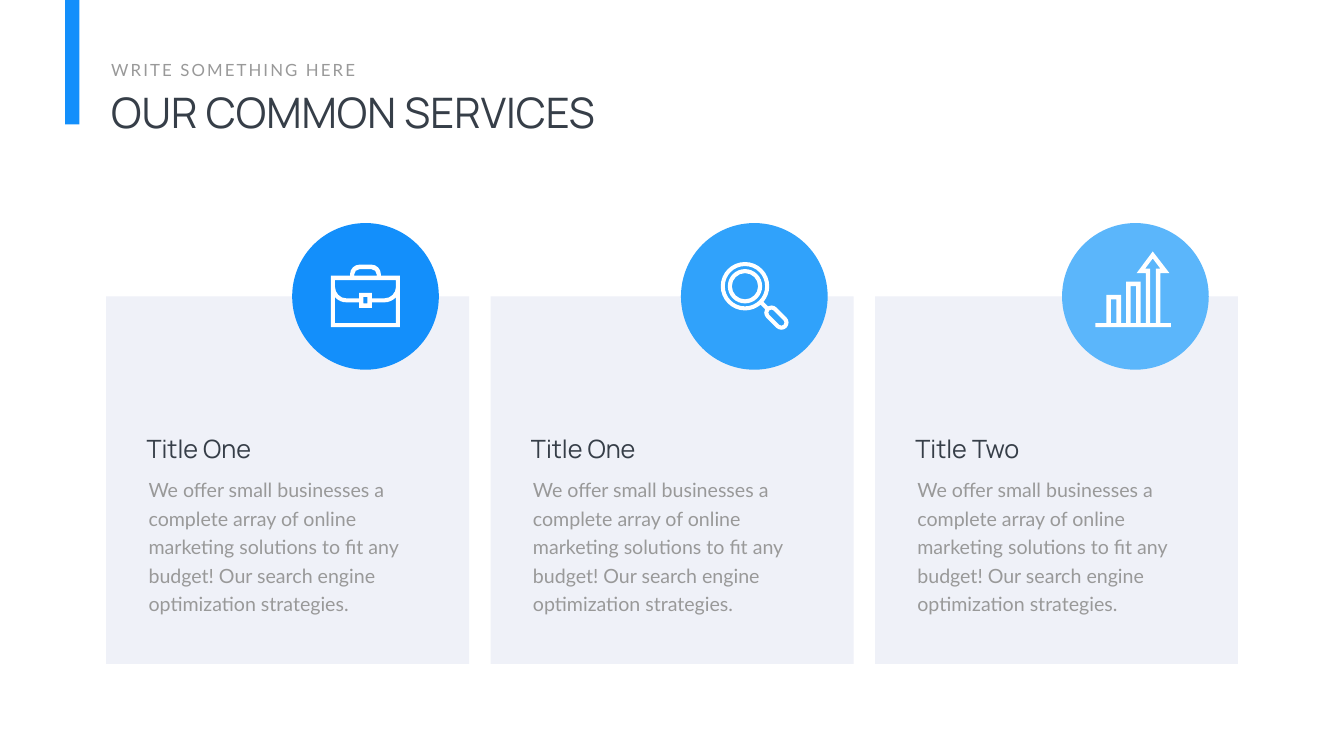
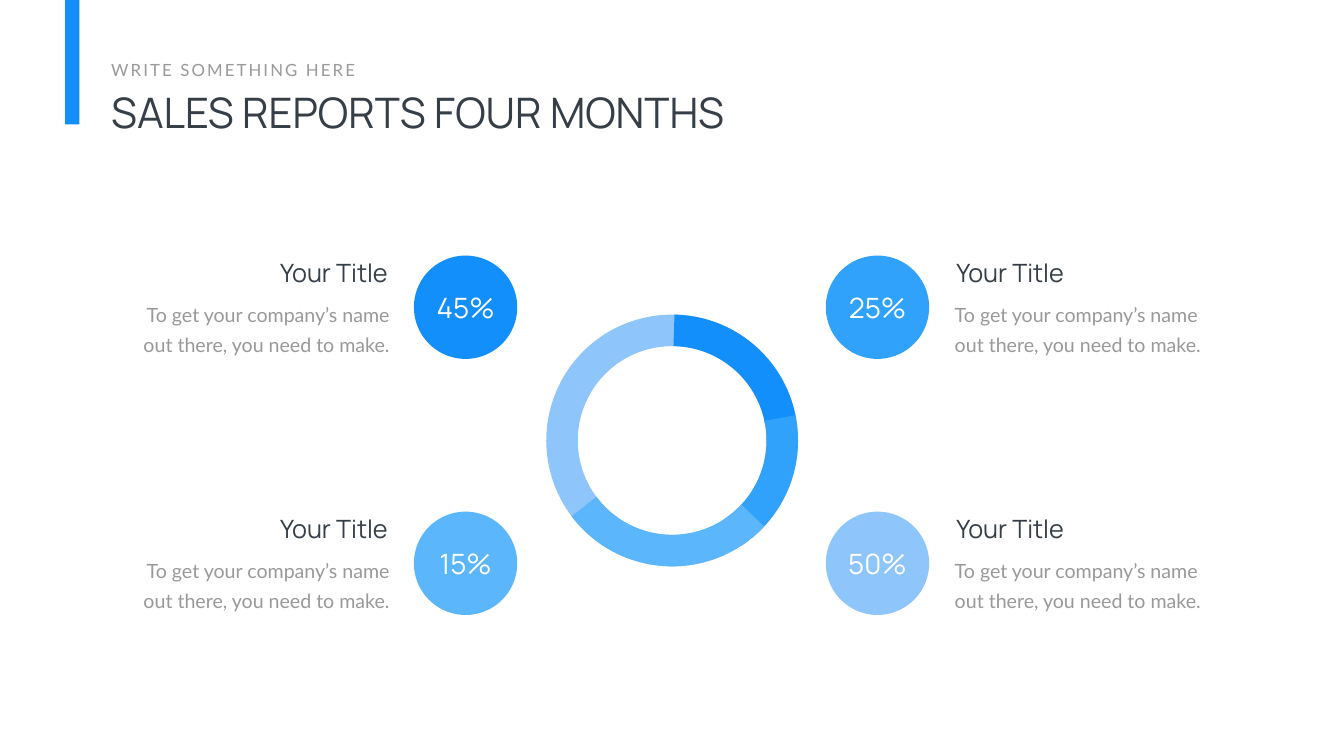
from math import cos, floor, radians, sin, tan
from typing import NamedTuple

from pptx import Presentation
from pptx.dml.color import RGBColor
from pptx.enum.shapes import MSO_SHAPE
from pptx.enum.text import MSO_AUTO_SIZE, PP_ALIGN
from pptx.oxml.ns import qn
from pptx.util import Pt

BLUES = ["138FFB", "30A2FB", "5BB6FB", "8EC5FA"]
WHITE, DARK, GREY, PANEL = "FFFFFF", "363E48", "999999", "EFF1F8"
HEADING_FONT, BODY_FONT = "Manrope", "Lato"


class Point(NamedTuple):
    """Place an outline point, which may be a control point of a curve."""

    x: float
    y: float
    control: bool = False


def color(value):
    """Turn a hex string into a colour."""
    return RGBColor.from_string(value)


def corners(*pairs):
    """List corner points from coordinate pairs."""
    return [Point(x, y) for x, y in pairs]


def box(left, top, right, bottom):
    """List the corners of a rectangle."""
    return corners((left, top), (right, top), (right, bottom), (left, bottom))


def arc(center_x, center_y, radius, start, end):
    """List the curve points of an arc, split at quarter turns, in degrees."""
    def place(angle, offset=0.0):
        """Place a point on the circle, or off it along the tangent."""
        across, down = cos(radians(angle)), sin(radians(angle))
        return Point(center_x + radius * (across - offset * down),
                     center_y + radius * (down + offset * across), offset != 0)

    points = [place(start)]
    while start < end:
        stop = min(end, 90 * (floor(start / 90) + 1))
        pull = 4 / 3 * tan(radians(stop - start) / 4)
        points += [place(start, pull), place(stop, -pull), place(stop)]
        start = stop
    return points


def mirror(right_half):
    """Close a right half, listed top to bottom, with its reflection."""
    return right_half + [Point(-x, y, control) for x, y, control in reversed(right_half)]


def briefcase_icon():
    """Outline a briefcase around the origin."""
    outer = arc(8.3, -32, 13.7, -90, 0) + corners((22, -30), (49.3, -30), (49.3, 43.6))
    handle = arc(8.3, -31.3, 7.9, -90, 0) + corners((16.2, -30))
    flap = corners((43.6, -23.4)) + arc(27, -14, 16.6, 0, 90) + corners((9, 2.5), (9, -5.4))
    clasp = corners((2.9, 0.4), (2.9, 9.7))
    body = (corners((9, 16.2), (9, 8.3)) + arc(27, -14, 22.3, 42, 90)[::-1]
            + corners((43.6, 37.8)))
    return [[mirror(half) for half in (flap, clasp, body, handle, outer)]]


def magnifier_icon():
    """Outline the inner lens ring, then the rim with its handle."""
    lens, near, far = (-13.3, -14.8), (24.5, 23), (38.6, 37.1)
    grip, slot = 10.3, 4.5
    inner_ring = [arc(*lens, radius, 0, 360) for radius in (18.7, 24.5)]
    outer = (arc(*lens, 34.6, 50, 400) + arc(*near, grip, 241, 315)
             + arc(*far, grip, -45, 135) + arc(*near, grip, 135, 209))
    opening = arc(*near, slot, 135, 315) + arc(*far, slot, -45, 135)
    return [inner_ring, [opening, arc(*lens, 28.8, 0, 360), outer]]


def growth_icon():
    """Outline two bars and a rising arrow on a base line."""
    base = 37.8
    outer = corners(
        (-57.2, base), (-41.4, base), (-41.4, -2.5), (-20.5, -2.5), (-20.5, base),
        (-13.3, base), (-13.3, -21.2), (7.6, -21.2), (7.6, base), (14.8, base),
        (14.8, -33.5), (1.8, -33.5), (24.8, -64.4), (48.6, -33.5), (35.6, -33.5),
        (35.6, base), (50.8, base), (50.8, 43.6), (-57.2, 43.6))
    arrow = corners((14, -40), (24.8, -54.4), (35.6, -40), (29.2, -40), (29.2, base),
                    (21.2, base), (21.2, -40))
    return [[box(-35, 4, -27, base), box(-6.8, -14.8, 1.1, base), arrow, outer]]


class Deck:
    """Hold the presentation, its style and the current slide."""

    def __init__(self):
        """Start an empty presentation."""
        self.presentation = Presentation()
        self.presentation.slide_width = Pt(1919.52)
        self.presentation.slide_height = Pt(1080)
        self.slide = None

    def add_slide(self, title, title_width):
        """Add a slide with the shared heading and accent bar."""
        self.slide = self.presentation.slides.add_slide(self.presentation.slide_layouts[6])
        self.text(151.7, 120.2, title_width, 80, title, 60)
        self.text(151.7, 81.4, 370, 36, "WRITE SOMETHING HERE", 24, GREY, BODY_FONT, tracking=3)
        self.shape(MSO_SHAPE.RECTANGLE, 93, 0, 20.2, 177.8, BLUES[0])

    def text(self, left, top, width, height, words, size, fill=DARK, font=HEADING_FONT,
             align=PP_ALIGN.LEFT, line_spacing=None, margins=(7.2, 3.6), tracking=None):
        """Add a one-paragraph text box."""
        text_box = self.slide.shapes.add_textbox(Pt(left), Pt(top), Pt(width), Pt(height))
        frame = text_box.text_frame
        frame.word_wrap = True
        frame.auto_size = MSO_AUTO_SIZE.SHAPE_TO_FIT_TEXT
        frame.margin_left = frame.margin_right = Pt(margins[0])
        frame.margin_top = frame.margin_bottom = Pt(margins[1])
        paragraph = frame.paragraphs[0]
        run = paragraph.add_run()
        run.text = words
        paragraph.alignment = align
        if line_spacing:
            paragraph.line_spacing = Pt(line_spacing)
        paragraph.font.name = font
        paragraph.font.size = Pt(size)
        paragraph.font.color.rgb = color(fill)
        if tracking:
            run._r.get_or_add_rPr().set("spc", str(tracking * 100))

    def body(self, left, top, width, height, words, line_spacing, align=PP_ALIGN.LEFT):
        """Add a grey body text with wide margins."""
        self.text(left, top, width, height, words, 28, GREY, BODY_FONT, align,
                  line_spacing, (17.28, 8.64))

    def shape(self, kind, left, top, width, height, fill):
        """Add a filled preset shape without a line."""
        shape = self.slide.shapes.add_shape(kind, Pt(left), Pt(top), Pt(width), Pt(height))
        self.paint(shape, fill)

    def paint(self, shape, fill):
        """Give a shape a plain fill, no line and no shadow."""
        shape.shadow.inherit = False
        shape.fill.solid()
        shape.fill.fore_color.rgb = color(fill)
        shape.line.fill.background()

    def ring(self, center_x, center_y, diameter, stroke, angles=None):
        """Add a thick circle, or an arc when start and end angles are given."""
        kind = MSO_SHAPE.ARC if angles else MSO_SHAPE.OVAL
        shape = self.slide.shapes.add_shape(
            kind, Pt(center_x - diameter / 2), Pt(center_y - diameter / 2),
            Pt(diameter), Pt(diameter))
        for index, angle in enumerate(angles or ()):
            shape.adjustments[index] = angle * 0.6
        shape.shadow.inherit = False
        shape.fill.background()
        shape.line.color.rgb = color(stroke)
        shape.line.width = Pt(45)

    def outline(self, center_x, center_y, contours):
        """Add a white freeform whose inner contours are holes."""
        builder = None
        for contour in contours:
            points = [(round(point.x * 100), round(point.y * 100)) for point in contour]
            if builder is None:
                builder = self.slide.shapes.build_freeform(*points[0], scale=Pt(1) / 100)
            else:
                builder.move_to(*points[0])
            builder.add_line_segments(points[1:], close=True)
        shape = builder.convert_to_shape(Pt(center_x), Pt(center_y))
        self.bend(shape, [point for contour in contours for point in contour[1:]])
        self.paint(shape, WHITE)

    def bend(self, shape, points):
        """Merge segments that run through control points into curves."""
        curve = None
        for segment, point in zip(list(shape._element.iter(qn("a:lnTo"))), points):
            if curve is not None:
                curve.append(segment[0])
                segment.getparent().remove(segment)
                curve = curve if point.control else None
            elif point.control:
                curve = segment
                curve.tag = qn("a:cubicBezTo")


def build_services(deck):
    """Build the three service cards."""
    deck.add_slide("OUR COMMON SERVICES", 780)
    card_top, diameter = 423.4, 209.5
    offer = ("We offer small businesses a complete array of online marketing solutions "
             "to fit any budget! Our search engine optimization strategies.")
    cards = [("Title One", 522, briefcase_icon()), ("Title One", 1077.3, magnifier_icon()),
             ("Title Two", 1621.6, growth_icon())]
    for index, (title, center_x, outlines) in enumerate(cards):
        left = 151.7 + 549 * index
        deck.shape(MSO_SHAPE.RECTANGLE, left, card_top, 518.4, 524.9, PANEL)
        deck.text(left + 50.6, 616, 424, 51, title, 36)
        deck.body(left + 43.2, 666.9, 431.3, 219.6, offer, 40.8)
        deck.shape(MSO_SHAPE.OVAL, center_x - diameter / 2, card_top - diameter / 2,
                   diameter, diameter, BLUES[index])
        for contours in outlines:
            deck.outline(center_x, 423.7, contours)


def build_sales(deck):
    """Build the ring and its four labelled values."""
    deck.add_slide("SALES REPORTS FOUR MONTHS", 1045)
    center_x, center_y, ring_size = 960, 629.3, 314.6
    deck.ring(center_x, center_y, ring_size, BLUES[3])
    for stroke, angles in zip(BLUES, [(270.97, 349.67), (348.24, 56.86), (42.99, 143.1)]):
        deck.ring(center_x, center_y, ring_size, stroke, angles)

    diameter, pitch_x, pitch_y = 147.6, 588.3, 365.8
    for index, (value, fill) in enumerate(zip(["45%", "25%", "15%", "50%"], BLUES)):
        row, column = divmod(index, 2)
        left, top = 591.1 + pitch_x * column, 365.1 + pitch_y * row
        deck.shape(MSO_SHAPE.OVAL, left, top, diameter, diameter, fill)
        deck.text(left + 21.6, top + 46.4, 104.4, 55.4, value, 40, WHITE, align=PP_ALIGN.CENTER)
        title_left, body_left, align = [
            (left - 212.4, left - 439.4, PP_ALIGN.RIGHT),
            (left + 179.3, left + 166.9, PP_ALIGN.LEFT)][column]
        deck.text(title_left, top - 1.4, 182.2, 51, "Your Title", 36, align=align)
        deck.body(body_left, top + 49.7, 421.9, 100,
                  "To get your company’s name out there, you need to make.", 43, align)


def main():
    """Build and save the presentation."""
    deck = Deck()
    build_services(deck)
    build_sales(deck)
    deck.presentation.save("out.pptx")


if __name__ == "__main__":
    main()
